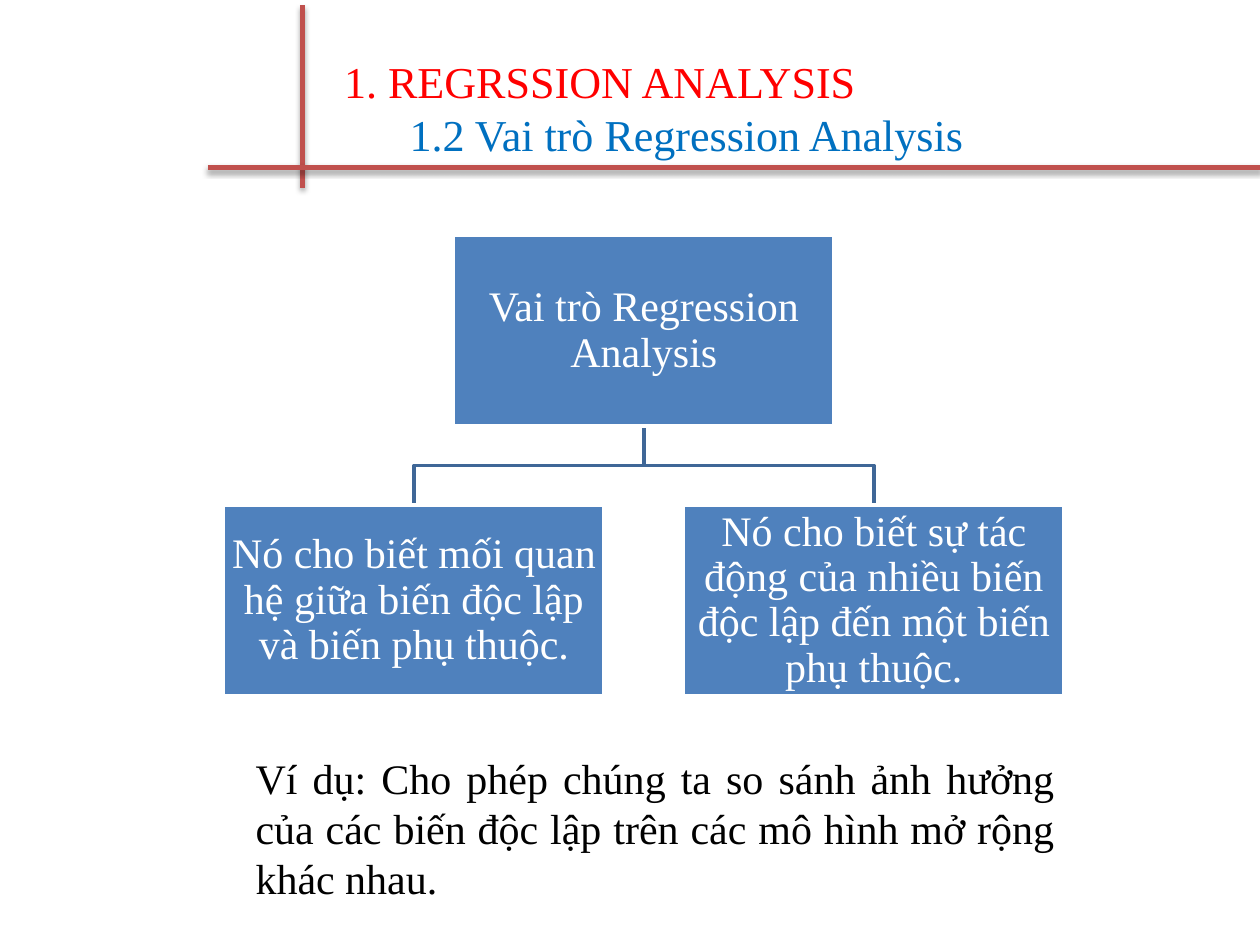
from lxml.etree import SubElement
from pptx import Presentation
from pptx.dml.color import RGBColor
from pptx.enum.shapes import MSO_CONNECTOR, MSO_SHAPE
from pptx.enum.text import MSO_ANCHOR, MSO_AUTO_SIZE, PP_ALIGN
from pptx.oxml.ns import qn
from pptx.util import Inches, Pt

FONT = "Times New Roman"
COLORS = {
    "rule": "C0504D", "shadow": "000000", "heading": "FF0000",
    "subheading": "0070C0", "box": "4F81BD", "branch": "3F6797",
    "white": "FFFFFF", "body": "000000",
}
BOX_W, BOX_H = 3.02, 1.51
ROOT_LEFT, ROOT_TOP = 3.6, 1.87
CHILD_TOP = 4.01
CHILD_OFFSET = 1.825  # sideways distance of each child from the root
ROOT = "Vai trò Regression Analysis"
CHILDREN = [
    (-1, "Nó cho biết mối quan hệ giữa biến độc lập và biến phụ thuộc."),
    (1, "Nó cho biết sự tác động của nhiều biến độc lập đến một biến phụ thuộc."),
]
EXAMPLE = ("Ví dụ: Cho phép chúng ta so sánh ảnh hưởng của các biến độc lập "
           "trên các mô hình mở rộng khác nhau.")


def rgb(name):
    return RGBColor.from_string(COLORS[name])


def style(paragraph, size, color, align):
    paragraph.alignment = align
    for run in paragraph.runs:
        run.font.name = FONT
        run.font.size = Pt(size)
        run.font.color.rgb = rgb(color)


def add_rule(slide, x1, y1, x2, y2):
    rule = slide.shapes.add_connector(
        MSO_CONNECTOR.STRAIGHT, Inches(x1), Inches(y1), Inches(x2), Inches(y2))
    rule.line.color.rgb = rgb("rule")
    rule.line.width = Pt(3)
    # Soft shadow straight below the line
    effects = SubElement(rule._element.spPr, qn("a:effectLst"))
    shadow = SubElement(effects, qn("a:outerShdw"), blurRad=str(Pt(3.1)),
                        dist=str(Pt(1.8)), dir="5400000", rotWithShape="0")
    tint = SubElement(shadow, qn("a:srgbClr"), val=COLORS["shadow"])
    SubElement(tint, qn("a:alpha"), val="35000")


def set_title(slide):
    title = slide.shapes.title
    title.left, title.top = Inches(2.19), Inches(0.38)
    title.width, title.height = Inches(7.6), Inches(0.93)
    frame = title.text_frame
    frame.text = "1. REGRSSION ANALYSIS\n1.2 Vai trò Regression Analysis"
    frame.auto_size = MSO_AUTO_SIZE.NONE
    frame.vertical_anchor = MSO_ANCHOR.TOP
    levels = [("heading", 0.44), ("subheading", 0.96)]
    for paragraph, (color, indent) in zip(frame.paragraphs, levels):
        style(paragraph, 25.2, color, PP_ALIGN.LEFT)
        paragraph._p.get_or_add_pPr().set("marL", str(Inches(indent)))


def add_branch(slide, side):
    start_x = ROOT_LEFT + BOX_W / 2
    end_x = start_x + side * CHILD_OFFSET
    start_y = ROOT_TOP + BOX_H
    bend_y = (start_y + CHILD_TOP) / 2
    outline = slide.shapes.build_freeform(Inches(start_x), Inches(start_y))
    bends = [(start_x, bend_y), (end_x, bend_y), (end_x, CHILD_TOP)]
    outline.add_line_segments([(Inches(x), Inches(y)) for x, y in bends], close=False)
    branch = outline.convert_to_shape()
    branch.shadow.inherit = False
    branch.fill.background()
    branch.line.color.rgb = rgb("branch")
    branch.line.width = Pt(2)


def add_box(slide, left, top, text):
    box = slide.shapes.add_shape(
        MSO_SHAPE.RECTANGLE, Inches(left), Inches(top), Inches(BOX_W), Inches(BOX_H))
    box.shadow.inherit = False
    box.fill.solid()
    box.fill.fore_color.rgb = rgb("box")
    box.line.color.rgb = rgb("white")
    box.line.width = Pt(2)
    frame = box.text_frame
    frame.text = text
    frame.word_wrap = True
    frame.vertical_anchor = MSO_ANCHOR.MIDDLE
    frame.margin_left = frame.margin_right = Inches(0.02)
    frame.margin_top = frame.margin_bottom = Inches(0.02)
    frame.paragraphs[0].line_spacing = 0.9
    style(frame.paragraphs[0], 24, "white", PP_ALIGN.CENTER)


def add_example(slide):
    example = slide.shapes.add_textbox(
        Inches(1.93), Inches(5.92), Inches(6.54), Inches(1.31))
    frame = example.text_frame
    frame.text = EXAMPLE
    frame.word_wrap = True
    frame.auto_size = MSO_AUTO_SIZE.SHAPE_TO_FIT_TEXT
    style(frame.paragraphs[0], 24, "body", PP_ALIGN.JUSTIFY)


def main():
    prs = Presentation()
    prs.slide_width, prs.slide_height = Inches(10), Inches(7.5)
    slide = prs.slides.add_slide(prs.slide_layouts[5])

    # Crossed rules and heading
    add_rule(slide, 2.4, 0.04, 2.4, 1.49)
    add_rule(slide, 1.65, 1.33, 10, 1.33)
    set_title(slide)

    # Hierarchy: branches lie behind the boxes
    for side, _ in CHILDREN:
        add_branch(slide, side)
    add_box(slide, ROOT_LEFT, ROOT_TOP, ROOT)
    for side, text in CHILDREN:
        add_box(slide, ROOT_LEFT + side * CHILD_OFFSET, CHILD_TOP, text)

    # Example below the hierarchy
    add_example(slide)
    prs.save("out.pptx")


if __name__ == "__main__":
    main()
